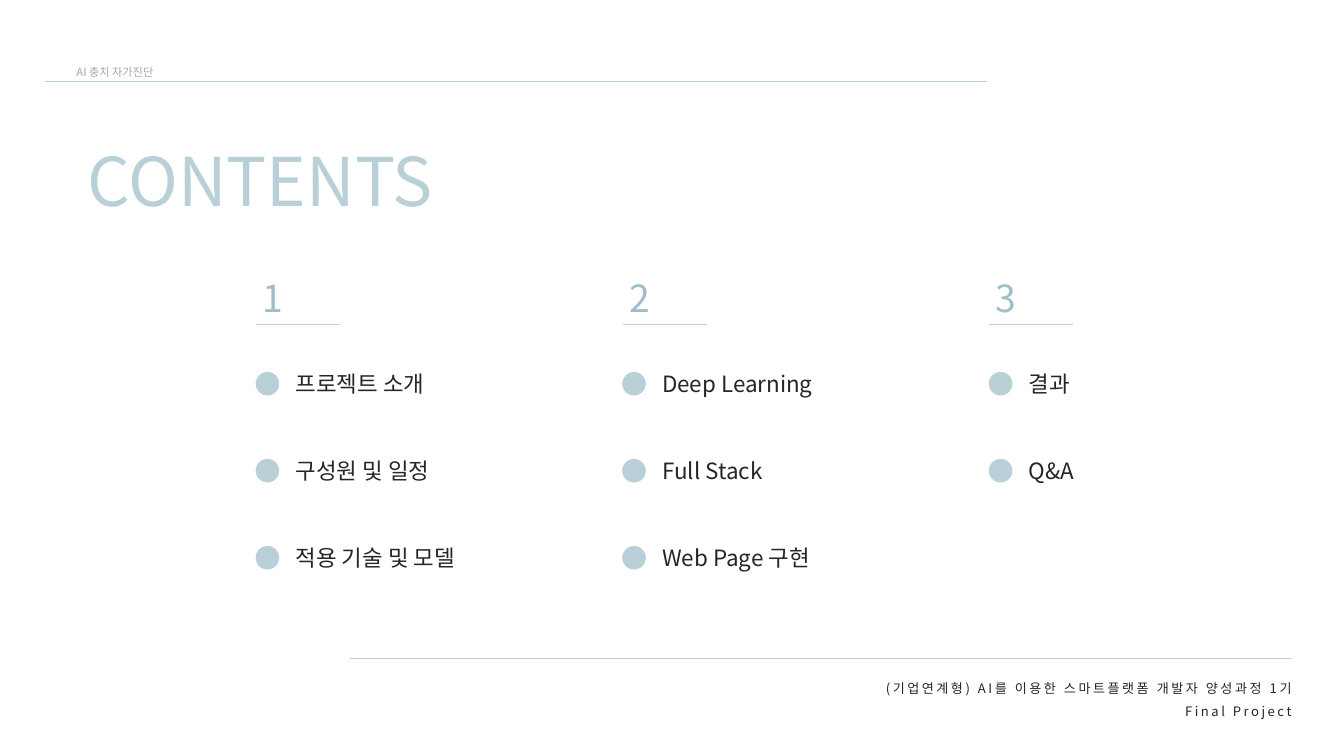
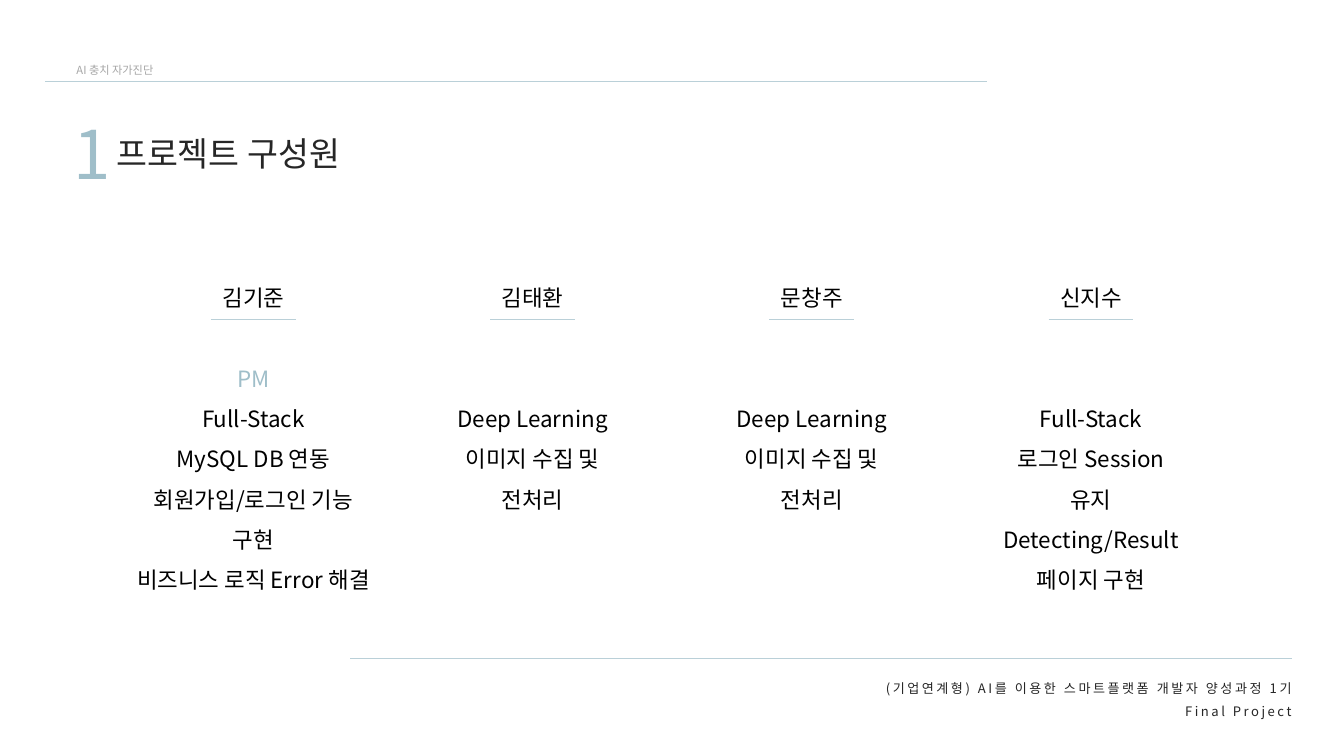
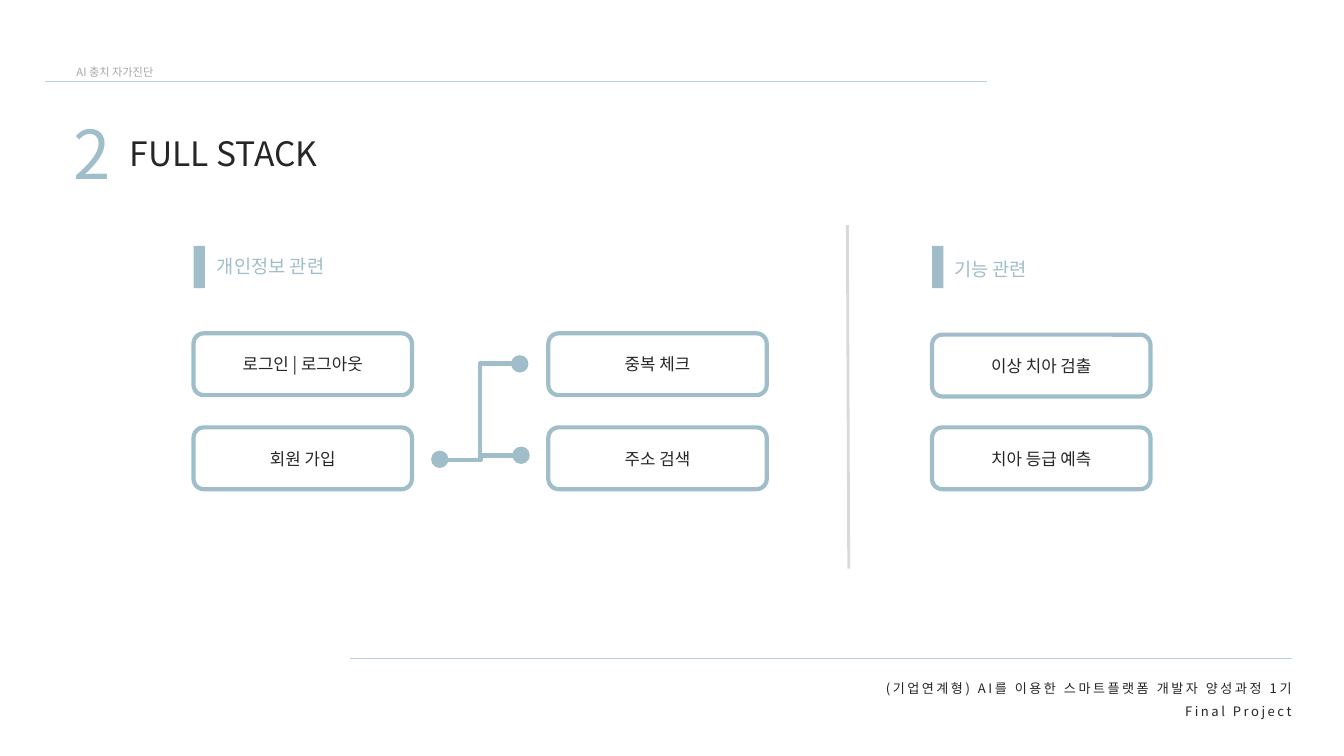
"""Builds three slides of a final project deck: contents, team members and full stack."""
from lxml.etree import SubElement
from pptx import Presentation
from pptx.dml.color import RGBColor
from pptx.enum.shapes import MSO_CONNECTOR, MSO_SHAPE
from pptx.enum.text import MSO_ANCHOR, MSO_AUTO_SIZE, PP_ALIGN
from pptx.oxml.ns import qn
from pptx.util import Inches, Pt

FONT = "Noto Sans CJK KR"
PALE = RGBColor(0xBA, 0xD0, 0xD8)
BLUE = RGBColor(0x9F, 0xBE, 0xC9)
INK = RGBColor(0x26, 0x26, 0x26)
BLACK = RGBColor(0, 0, 0)
GRAY = RGBColor(0xA6, 0xA6, 0xA6)
RULE = RGBColor(0xD9, 0xD9, 0xD9)

HEADER = "AI 충치 자가진단"
FOOTER = ["(기업연계형) AI를 이용한 스마트플랫폼 개발자 양성과정 1기", "Final Project"]

CHAPTERS = [
    [("프로젝트 소개", 2.32), ("구성원 및 일정", 2.41), ("적용 기술 및 모델", 2.84)],
    [("Deep Learning", 2.8), ("Full Stack", 1.98), ("Web Page 구현", 2.77)],
    [("결과", 0.88), ("Q&A", 0.98)],
]

MEMBERS = [
    ("김기준", "PM", ["Full-Stack", "MySQL DB 연동", "회원가입/로그인 기능 구현",
                   "비즈니스 로직 Error 해결"], 3.69, 4.34),
    ("김태환", None, ["Deep Learning", "이미지 수집 및 전처리"], 3.06, 3.13),
    ("문창주", None, ["Deep Learning", "이미지 수집 및 전처리"], 3.06, 3.13),
    ("신지수", None, ["Full-Stack", "로그인 Session 유지", "Detecting/Result", "페이지 구현"],
     3.05, 4.34),
]
MEMBER_LINE = 43.2

FEATURES = [
    (2.88, 4.96, ["로그인 | 로그아웃", "회원 가입"]),
    (8.16, 4.96, ["중복 체크", "주소 검색"]),
    (13.87, 4.98, ["이상 치아 검출", "치아 등급 예측"]),
]
FEATURE_BOTTOM_ROW = 6.36
GROUPS = [
    ("개인정보 관련", 2.88, (3.13, 3.75, 4.59, 0.44), PP_ALIGN.LEFT),
    ("기능 관련", 13.87, (13.98, 3.79, 1.52, 0.44), PP_ALIGN.CENTER),
]
JOINT = (6.67, 6.84)
BRANCHES = [(7.64, 6.78), (7.62, 5.41)]
DOTS = [(6.43, 6.72), (7.62, 5.3), (7.64, 6.66)]


def style(paragraph, size, color, align=PP_ALIGN.LEFT, spacing=None, tracking=None):
    paragraph.alignment = align
    if spacing:
        paragraph.line_spacing = spacing
    for run in paragraph.runs:
        run.font.size = Pt(size)
        run.font.color.rgb = color
        run.font.name = FONT
        properties = run.font._element
        SubElement(properties, qn("a:ea")).set("typeface", FONT)
        if tracking:
            properties.set("spc", str(int(tracking * 100)))


def add_text(slide, box, lines, size, color, wrap=True, middle=False, **look):
    frame = slide.shapes.add_textbox(*map(Inches, box)).text_frame
    frame.word_wrap = wrap
    frame.auto_size = MSO_AUTO_SIZE.SHAPE_TO_FIT_TEXT
    if middle:
        frame.vertical_anchor = MSO_ANCHOR.MIDDLE
        frame.margin_left = frame.margin_right = frame.margin_top = frame.margin_bottom = 0
    frame.text = "\n".join(lines)
    for paragraph in frame.paragraphs:
        style(paragraph, size, color, **look)
    return frame


def add_line(slide, start, end, color=PALE, width=0.75, kind=MSO_CONNECTOR.STRAIGHT):
    line = slide.shapes.add_connector(kind, *map(Inches, start + end))
    line.line.color.rgb = color
    line.line.width = Pt(width)
    SubElement(line._element.spPr, qn("a:effectLst"))


def add_shape(slide, kind, box, fill=None, outline=None, width=0.75):
    shape = slide.shapes.add_shape(kind, *map(Inches, box))
    shape.shadow.inherit = False
    if fill is None:
        shape.fill.background()
    else:
        shape.fill.solid()
        shape.fill.fore_color.rgb = fill
    if outline is None:
        shape.line.fill.background()
    else:
        shape.line.color.rgb = outline
        shape.line.width = Pt(width)
    return shape


def add_page(deck, header_top=0.82):
    slide = deck.slides.add_slide(deck.slide_layouts[6])
    add_line(slide, (5.21, 9.8), (19.23, 9.8))
    add_text(slide, (12.75, 10, 6.47, 0.71), FOOTER, 14, INK, middle=True,
             align=PP_ALIGN.RIGHT, spacing=1.5, tracking=2.7)
    add_line(slide, (0.67, 1.21), (14.69, 1.21))
    add_text(slide, (0.67, header_top, 2.08, 0.39), [HEADER], 12, GRAY,
             align=PP_ALIGN.CENTER, spacing=1.5)
    return slide


def add_section_title(slide, number, title, number_width, title_left, title_width):
    add_text(slide, (1, 1.62, number_width, 1.31), [number], 72, BLUE, wrap=False)
    add_text(slide, (title_left, 1.93, title_width, 0.71), [title], 36, INK, wrap=False)


def build_contents(deck):
    slide = add_page(deck)
    add_text(slide, (0.02, 1.54, 7.7, 1.67), ["CONTENTS"], 72, PALE, middle=True,
             align=PP_ALIGN.CENTER, spacing=1.5)
    for column, topics in enumerate(CHAPTERS):
        left = 3.81 + 5.455 * column
        add_line(slide, (left, 4.82), (left + 1.25, 4.82))
        add_text(slide, (left, 4.04, 0.56, 0.77), [str(column + 1)], 40, BLUE, wrap=False)
        for row, (topic, width) in enumerate(topics):
            top = 5.46 + 1.295 * row
            add_shape(slide, MSO_SHAPE.OVAL, (left, top + 0.08, 0.34, 0.34), PALE, PALE)
            add_text(slide, (left + 0.49, top, width, 0.5), [topic], 24, INK, wrap=False)


def build_members(deck):
    slide = add_page(deck, header_top=0.79)
    add_section_title(slide, "1", "프로젝트 구성원", 0.63, 1.63, 3.88)
    for column, (name, role, duties, width, height) in enumerate(MEMBERS):
        center = 3.77 + 4.155 * column
        lines = [name] + ([role] if role else []) + duties
        profile = add_text(slide, (center - width / 2, 3.98, width, height), lines, 24, BLACK,
                           align=PP_ALIGN.CENTER, spacing=1.5)
        after_name = profile.paragraphs[1]
        after_name.space_before = Pt(MEMBER_LINE * (1 if role else 2))
        if role:
            after_name.runs[0].font.color.rgb = BLUE
        add_line(slide, (center - 0.63, 4.75), (center + 0.63, 4.75))


def build_full_stack(deck):
    slide = add_page(deck)
    add_section_title(slide, "2", "FULL STACK", 0.85, 1.83, 3.45)
    for title, bar_left, box, align in GROUPS:
        add_shape(slide, MSO_SHAPE.RECTANGLE, (bar_left, 3.66, 0.17, 0.63), BLUE)
        add_text(slide, box, [title], 20, BLUE, align=align)
    for left, first_top, features in FEATURES:
        for top, feature in zip((first_top, FEATURE_BOTTOM_ROW), features):
            card = add_shape(slide, MSO_SHAPE.ROUNDED_RECTANGLE, (left, top, 3.25, 0.92),
                             outline=BLUE, width=4.5)
            card.text_frame.text = feature
            card.text_frame.vertical_anchor = MSO_ANCHOR.MIDDLE
            style(card.text_frame.paragraphs[0], 18, INK, PP_ALIGN.CENTER)
    for branch in BRANCHES:
        add_line(slide, branch, JOINT, BLUE, 4.5, MSO_CONNECTOR.ELBOW)
    for dot in DOTS:
        add_shape(slide, MSO_SHAPE.OVAL, dot + (0.23, 0.23), BLUE, BLUE, 2)
    add_line(slide, (12.61, 3.35), (12.63, 8.46), RULE, 3)


def main():
    deck = Presentation()
    deck.slide_width, deck.slide_height = Inches(20), Inches(11.25)
    build_contents(deck)
    build_members(deck)
    build_full_stack(deck)
    deck.save("out.pptx")


if __name__ == "__main__":
    main()
